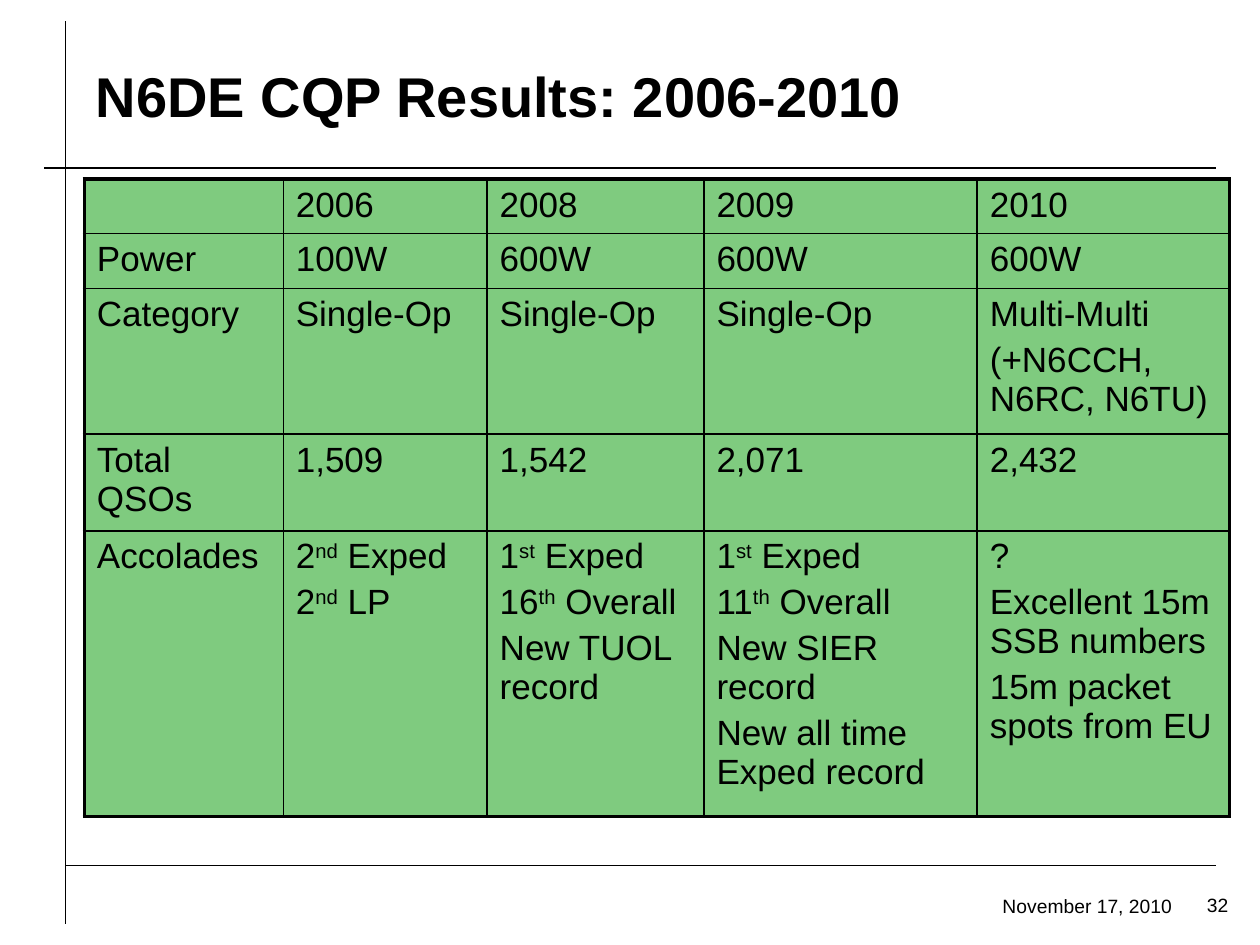
from lxml.etree import SubElement
from pptx import Presentation
from pptx.dml.color import RGBColor
from pptx.enum.shapes import MSO_CONNECTOR as Connector
from pptx.enum.text import MSO_ANCHOR as Anchor, PP_ALIGN as Align
from pptx.oxml.ns import qn
from pptx.util import Cm, Pt

COLORS = {"ink": "000000", "green": "009900"}
FONT = "Arial"
COLUMN_WIDTHS = [4.01, 4.11, 4.37, 5.51, 5.08]
ROW_HEIGHTS = [1.03, 1.04, 2.75, 1.83, 5.4]
RESULTS = [
    ["", "2006", "2008", "2009", "2010"],
    ["Power", "100W", "600W", "600W", "600W"],
    ["Category", "Single-Op", "Single-Op", "Single-Op",
     "Multi-Multi\n(+N6CCH, N6RC, N6TU)"],
    ["Total QSOs", "1,509", "1,542", "2,071", "2,432"],
    ["Accolades",
     "2^nd^ Exped\n2^nd^ LP",
     "1^st^ Exped\n16^th^ Overall\nNew TUOL record",
     "1^st^ Exped\n11^th^ Overall\nNew SIER record\nNew all time Exped record",
     "?\nExcellent 15m SSB numbers\n15m packet spots from EU"],
]


def color(name):
    """Return the named colour."""
    return RGBColor.from_string(COLORS[name])


def style_paragraph(paragraph, size, bold=False):
    """Set the font of a whole paragraph."""
    font = paragraph.font
    font.name, font.size, font.bold = FONT, Pt(size), bold
    font.color.rgb = color("ink")


def add_text(slide, box, text, size, bold=False, align=Align.LEFT,
             anchor=Anchor.TOP, wrap=True):
    """Add a one-paragraph text box."""
    frame = slide.shapes.add_textbox(*map(Cm, box)).text_frame
    frame.word_wrap, frame.vertical_anchor = wrap, anchor
    paragraph = frame.paragraphs[0]
    paragraph.text, paragraph.alignment = text, align
    style_paragraph(paragraph, size, bold)


def add_rule(slide, left, top, right, bottom):
    """Add a thin straight line."""
    line = slide.shapes.add_connector(
        Connector.STRAIGHT, *map(Cm, (left, top, right, bottom)))
    line.line.color.rgb = color("ink")
    line.line.width = Pt(1)
    SubElement(line._element.spPr, qn("a:effectLst"))


def fill_cell(cell, text):
    """Write the lines of a cell, raising the parts between carets."""
    for index, line in enumerate(text.split("\n")):
        frame = cell.text_frame
        paragraph = frame.add_paragraph() if index else frame.paragraphs[0]
        if index:
            paragraph.space_before = Pt(4)
        style_paragraph(paragraph, 20)
        for part_index, part in enumerate(line.split("^")):
            run = paragraph.add_run()
            run.text = part
            if part_index % 2:
                run._r.get_or_add_rPr().set("baseline", "30000")


def style_cell(cell, outer_sides):
    """Draw the borders of a cell and its half-transparent fill."""
    properties = cell._tc.get_or_add_tcPr()
    for side in "LRTB":
        width = Pt(2.25 if side in outer_sides else 1)
        border = SubElement(properties, qn(f"a:ln{side}"), w=str(width))
        solid = SubElement(border, qn("a:solidFill"))
        SubElement(solid, qn("a:srgbClr"), val=COLORS["ink"])
    cell.fill.solid()
    cell.fill.fore_color.rgb = color("green")
    fill_color = properties.find(qn("a:solidFill")).find(qn("a:srgbClr"))
    SubElement(fill_color, qn("a:alpha"), val="50000")


def add_results_table(slide, left, top):
    """Add the table of results by year."""
    row_count, column_count = len(ROW_HEIGHTS), len(COLUMN_WIDTHS)
    table = slide.shapes.add_table(
        row_count, column_count, Cm(left), Cm(top),
        Cm(sum(COLUMN_WIDTHS)), Cm(sum(ROW_HEIGHTS))).table
    table.first_row = table.horz_banding = False
    for column, width in zip(table.columns, COLUMN_WIDTHS):
        column.width = Cm(width)
    for row, height in zip(table.rows, ROW_HEIGHTS):
        row.height = Cm(height)
    for row_index, values in enumerate(RESULTS):
        for column_index, text in enumerate(values):
            edges = {"L": column_index == 0, "T": row_index == 0,
                     "R": column_index == column_count - 1,
                     "B": row_index == row_count - 1}
            cell = table.cell(row_index, column_index)
            fill_cell(cell, text)
            style_cell(cell, [side for side, outer in edges.items() if outer])


def add_frame_rules(slide, left, top, right, bottom):
    """Add the vertical rule, the title rule and the footer rule."""
    margin = left + 0.43
    add_rule(slide, margin, top, margin, bottom)
    add_rule(slide, left, top + 2.95, right, top + 2.95)
    add_rule(slide, margin, bottom - 1.17, right, bottom - 1.17)


def add_footer(slide, left, top):
    """Add the date and the slide number."""
    add_text(slide, (left, top, 4.19, 0.71), "November 17, 2010", 11,
             align=Align.RIGHT)
    add_text(slide, (left + 4.39, top - 0.02, 0.99, 0.71), "32", 11, wrap=False)


def main():
    """Build and save the slide."""
    presentation = Presentation()
    presentation.slide_width, presentation.slide_height = Cm(25.4), Cm(19.05)
    slide = presentation.slides.add_slide(presentation.slide_layouts[6])
    add_frame_rules(slide, 0.89, 0.43, 24.51, 18.62)
    add_text(slide, (1.68, 0.43, 23.16, 2.97), "N6DE CQP Results: 2006-2010",
             32, bold=True, anchor=Anchor.MIDDLE)
    add_results_table(slide, 1.7, 3.61)
    add_footer(slide, 19.69, 17.91)
    presentation.save("out.pptx")


if __name__ == "__main__":
    main()
